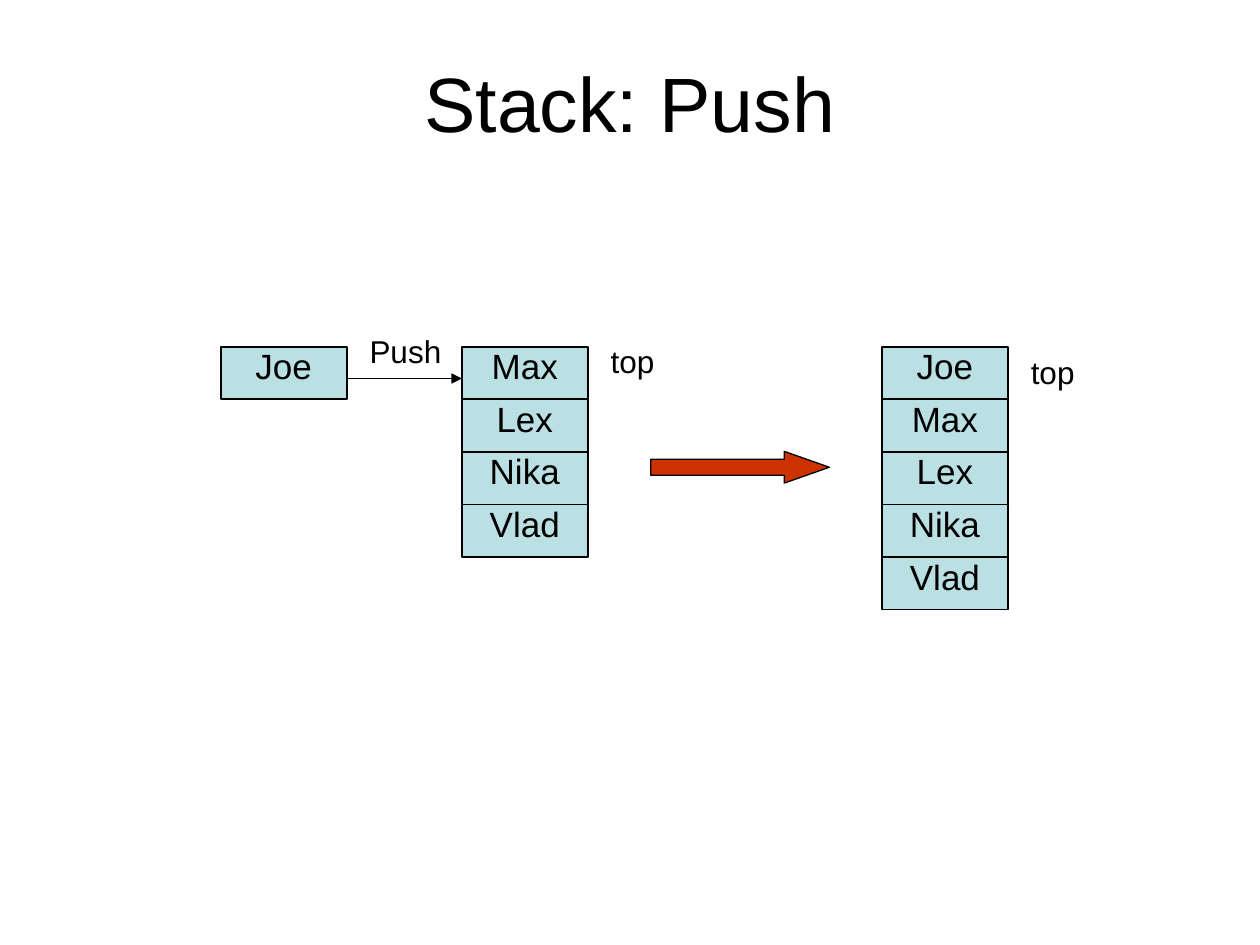
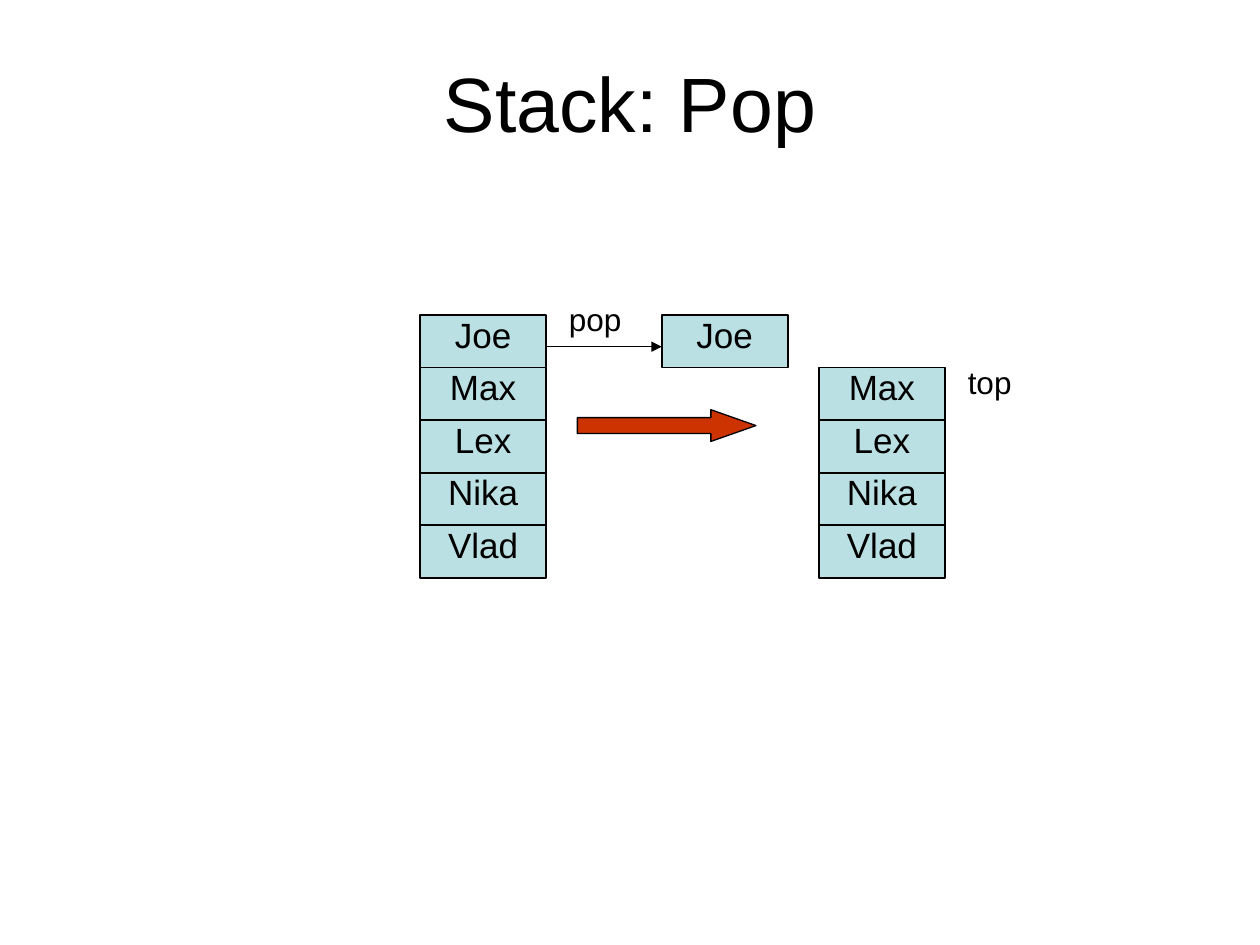
"""Build two slides that show pushing to and popping from a stack."""
from dataclasses import dataclass
from typing import Optional

from lxml.etree import SubElement
from pptx import Presentation
from pptx.dml.color import RGBColor
from pptx.enum.shapes import MSO_CONNECTOR, MSO_SHAPE
from pptx.enum.text import MSO_ANCHOR, MSO_AUTO_SIZE, PP_ALIGN
from pptx.oxml.ns import qn
from pptx.slide import Slide
from pptx.text.text import TextFrame
from pptx.util import Cm, Pt


@dataclass(frozen=True)
class Theme:
    font: str = "Arial"
    ink: RGBColor = RGBColor(0x00, 0x00, 0x00)
    cell_fill: RGBColor = RGBColor(0xBB, 0xE0, 0xE3)
    arrow_fill: RGBColor = RGBColor(0xCC, 0x33, 0x00)
    title_size: int = 44
    cell_size: int = 20
    label_size: int = 18
    cell_line: float = 1
    thin_line: float = 0.75


@dataclass(frozen=True)
class Stack:
    left: float
    top: float
    names: tuple[str, ...]
    top_mark_shift: Optional[float] = None


@dataclass(frozen=True)
class Operation:
    title: str
    verb: str
    verb_width: float
    source: Stack
    target: Stack
    result: Optional[Stack]
    arrow_left: float
    arrow_top: float


THEME = Theme()
CELL_WIDTH, CELL_HEIGHT = 2.54, 1.06
LABEL_GAP, LABEL_HEIGHT = 0.21, 1.02
VERB_RISE = 0.42
TOP_MARK_WIDTH = 1.69
LINK_DROP = 0.64
ARROW_WIDTH, ARROW_HEIGHT = 3.6, 0.64

REMAINING = ("Max", "Lex", "Nika", "Vlad")
MOVED = ("Joe",)

OPERATIONS = (
    Operation(
        "Stack: Push", "Push", 2.12,
        source=Stack(4.45, 6.99, MOVED),
        target=Stack(9.31, 6.99, REMAINING, -0.21),
        result=Stack(17.78, 6.99, MOVED + REMAINING, 0),
        arrow_left=13.12, arrow_top=9.1,
    ),
    Operation(
        "Stack: Pop", "pop", 1.91,
        source=Stack(8.47, 6.35, MOVED + REMAINING),
        target=Stack(13.34, 6.35, MOVED),
        result=Stack(16.51, 7.41, REMAINING, -0.21),
        arrow_left=11.64, arrow_top=8.26,
    ),
)


def write(frame: TextFrame, text: str, size: float, align: PP_ALIGN) -> None:
    """Put one styled paragraph into a text frame."""
    frame.text = text
    frame.word_wrap = True
    para = frame.paragraphs[0]
    para.alignment = align
    for span in para.runs:
        span.font.name = THEME.font
        span.font.size = Pt(size)
        span.font.color.rgb = THEME.ink


def add_title(page: Slide, text: str) -> None:
    """Add the centred slide title."""
    box = page.shapes.add_textbox(Cm(1.91), Cm(0), Cm(21.59), Cm(4.09))
    write(box.text_frame, text, THEME.title_size, PP_ALIGN.CENTER)
    box.text_frame.vertical_anchor = MSO_ANCHOR.MIDDLE


def add_label(page: Slide, text: str, left: float, top: float, width: float) -> None:
    """Add a small label that fits its text."""
    box = page.shapes.add_textbox(Cm(left), Cm(top), Cm(width), Cm(LABEL_HEIGHT))
    write(box.text_frame, text, THEME.label_size, PP_ALIGN.LEFT)
    box.text_frame.auto_size = MSO_AUTO_SIZE.SHAPE_TO_FIT_TEXT


def add_stack(page: Slide, stack: Stack) -> None:
    """Draw the cells of a stack and, if wanted, its top mark."""
    for row, name in enumerate(stack.names):
        box = page.shapes.add_shape(
            MSO_SHAPE.RECTANGLE, Cm(stack.left), Cm(stack.top + row * CELL_HEIGHT),
            Cm(CELL_WIDTH), Cm(CELL_HEIGHT))
        box.shadow.inherit = False
        box.fill.solid()
        box.fill.fore_color.rgb = THEME.cell_fill
        box.line.color.rgb = THEME.ink
        box.line.width = Pt(THEME.cell_line)
        write(box.text_frame, name, THEME.cell_size, PP_ALIGN.CENTER)
        box.text_frame.vertical_anchor = MSO_ANCHOR.TOP
        box.text_frame.paragraphs[0].line_spacing = 0.8
    if stack.top_mark_shift is not None:
        add_label(page, "top", stack.left + CELL_WIDTH + LABEL_GAP,
                  stack.top + stack.top_mark_shift, TOP_MARK_WIDTH)


def add_link(page: Slide, operation: Operation) -> None:
    """Draw the thin arrow from source to target with its verb."""
    source, target = operation.source, operation.target
    start, height = source.left + CELL_WIDTH, source.top + LINK_DROP
    link = page.shapes.add_connector(
        MSO_CONNECTOR.STRAIGHT, Cm(start), Cm(height), Cm(target.left), Cm(height))
    link.line.color.rgb = THEME.ink
    link.line.width = Pt(THEME.thin_line)
    SubElement(link.line._get_or_add_ln(), qn("a:tailEnd"), type="triangle")
    SubElement(link._element.spPr, qn("a:effectLst"))
    add_label(page, operation.verb, start + LABEL_GAP,
              source.top - VERB_RISE, operation.verb_width)


def add_block_arrow(page: Slide, left: float, top: float) -> None:
    """Draw the red arrow that leads to the result."""
    arrow = page.shapes.add_shape(
        MSO_SHAPE.RIGHT_ARROW, Cm(left), Cm(top), Cm(ARROW_WIDTH), Cm(ARROW_HEIGHT))
    arrow.adjustments[0] = 0.5
    arrow.adjustments[1] = 1.42
    arrow.shadow.inherit = False
    arrow.fill.solid()
    arrow.fill.fore_color.rgb = THEME.arrow_fill
    arrow.line.color.rgb = THEME.ink
    arrow.line.width = Pt(THEME.thin_line)


def main() -> None:
    """Build and save the deck."""
    deck = Presentation()
    deck.slide_width, deck.slide_height = Cm(25.4), Cm(19.05)
    for operation in OPERATIONS:
        page = deck.slides.add_slide(deck.slide_layouts[6])
        add_title(page, operation.title)
        for stack in (operation.source, operation.target, operation.result):
            add_stack(page, stack)
        add_link(page, operation)
        add_block_arrow(page, operation.arrow_left, operation.arrow_top)
    deck.save("out.pptx")


if __name__ == "__main__":
    main()
